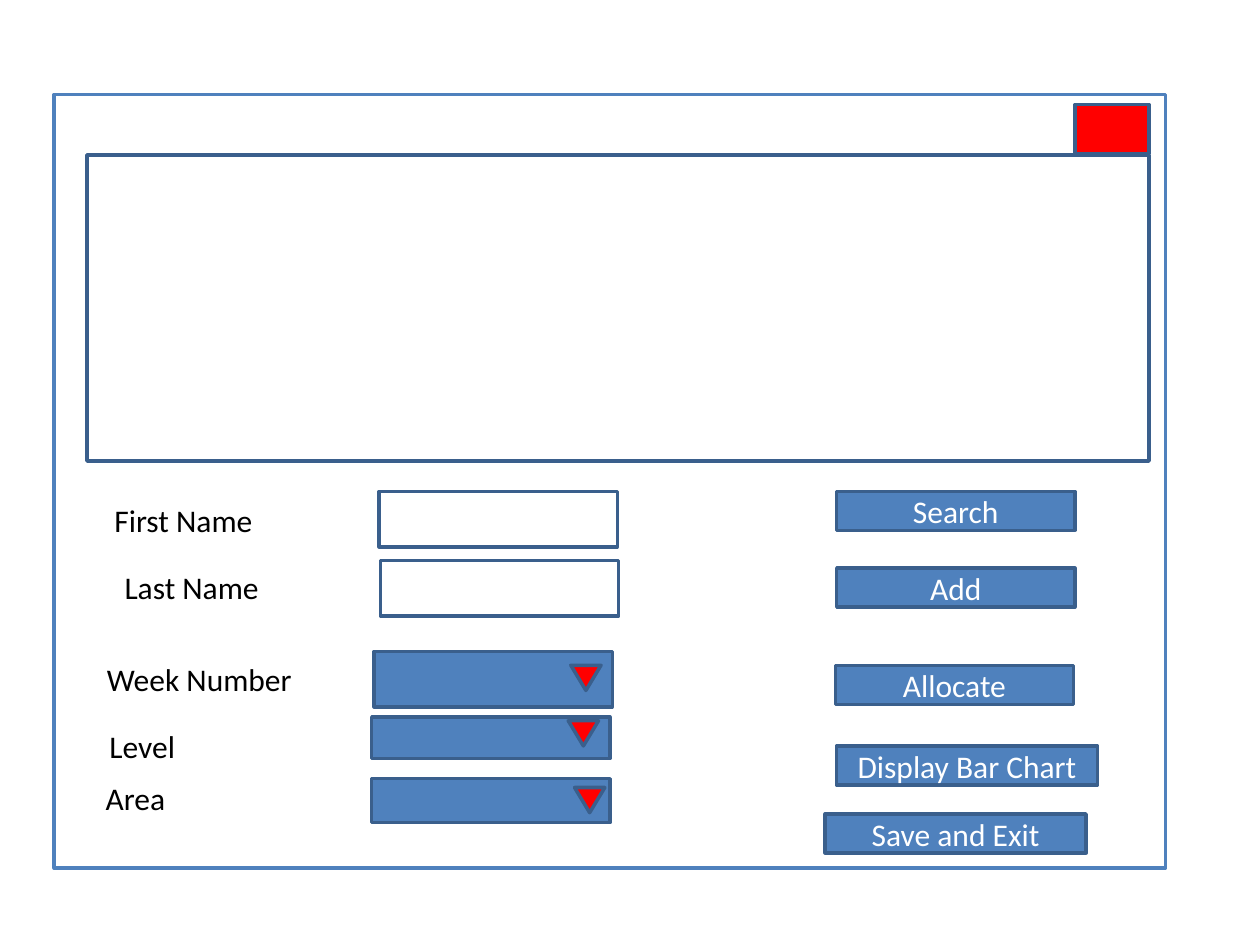
from pptx import Presentation
from pptx.dml.color import RGBColor
from pptx.enum.shapes import MSO_SHAPE
from pptx.enum.text import MSO_ANCHOR, MSO_AUTO_SIZE, PP_ALIGN
from pptx.util import Inches, Pt

RECT, TRIANGLE = MSO_SHAPE.RECTANGLE, MSO_SHAPE.ISOSCELES_TRIANGLE
LEFT, CENTER = PP_ALIGN.LEFT, PP_ALIGN.CENTER
MIDDLE, GROW = MSO_ANCHOR.MIDDLE, MSO_AUTO_SIZE.SHAPE_TO_FIT_TEXT
COLS, ROWS = 100, 75


def color(value):
    return RGBColor.from_string(value)


def write(tf, text, size=18, font="Calibri", ink="000000", align=LEFT):
    p = tf.paragraphs[0]
    p.alignment = align
    r = p.add_run()
    r.text = text
    r.font.size = Pt(size)
    r.font.name = font
    r.font.color.rgb = color(ink)


class Form:
    blue, edge, red, white = "4F81BD", "3A5F8C", "FF0000", "FFFFFF"
    field_width, field_height = 18.9, 4.4
    button_height = 3.1

    def __init__(self, prs):
        self.s = prs.slides.add_slide(prs.slide_layouts[6])
        self.col = prs.slide_width / COLS
        self.row = prs.slide_height / ROWS

    def area(self, x, y, w, h):
        return (round(x * self.col), round(y * self.row),
                round(w * self.col), round(h * self.row))

    def box(self, x, y, w, h, fill=white, line=edge, kind=RECT):
        sp = self.s.shapes.add_shape(kind, *self.area(x, y, w, h))
        sp.shadow.inherit = False
        sp.fill.solid()
        sp.fill.fore_color.rgb = color(fill)
        sp.line.color.rgb = color(line)
        sp.line.width = Pt(2)
        return sp

    def label(self, text, x, y, w):
        sp = self.s.shapes.add_textbox(*self.area(x, y, w, 4))
        tf = sp.text_frame
        tf.word_wrap = True
        tf.auto_size = GROW
        write(tf, text)

    def field(self, x, y):
        self.box(x, y, self.field_width, self.field_height)

    def dropdown(self, x, y, h, arrow_x, arrow_y):
        self.box(x, y, self.field_width, h, self.blue)
        arrow = self.box(arrow_x, arrow_y, 2.4, 2, self.red, kind=TRIANGLE)
        arrow.rotation = 180

    def button(self, text, x, y, w):
        tf = self.box(x, y, w, self.button_height, self.blue).text_frame
        tf.word_wrap = True
        tf.vertical_anchor = MIDDLE
        write(tf, text, ink=self.white, align=CENTER)


prs = Presentation()
prs.slide_width, prs.slide_height = Inches(10), Inches(7.5)
form = Form(prs)

form.box(4.3, 7.5, 88.2, 61.4, line=Form.blue)
form.box(6.9, 12.3, 84.3, 24.3)
form.box(85.3, 8.3, 5.9, 3.9, Form.red)

for x, y in [(30.1, 39), (30.2, 44.5)]:
    form.field(x, y)

for text, x, y, w in [
    ("First Name", 8.1, 39.3, 17.3),
    ("Last Name", 8.9, 44.6, 17.3),
    ("Week Number", 7.5, 51.9, 18.5),
    ("Level", 7.7, 57.2, 18.5),
    ("Area", 7.4, 61.3, 18.5),
]:
    form.label(text, x, y, w)

for x, y, h, arrow_x, arrow_y in [
    (29.7, 51.7, 4.4, 45.3, 52.8),
    (29.5, 56.9, 3.3, 45.1, 57.2),
    (29.5, 61.8, 3.5, 45.6, 62.5),
]:
    form.dropdown(x, y, h, arrow_x, arrow_y)

for text, x, y, w in [
    ("Search", 66.4, 39, 18.9),
    ("Add", 66.4, 45.1, 18.9),
    ("Allocate", 66.3, 52.8, 18.9),
    ("Display Bar Chart", 66.4, 59.2, 20.7),
    ("Save and Exit", 65.5, 64.6, 20.7),
]:
    form.button(text, x, y, w)

prs.save("out.pptx")
